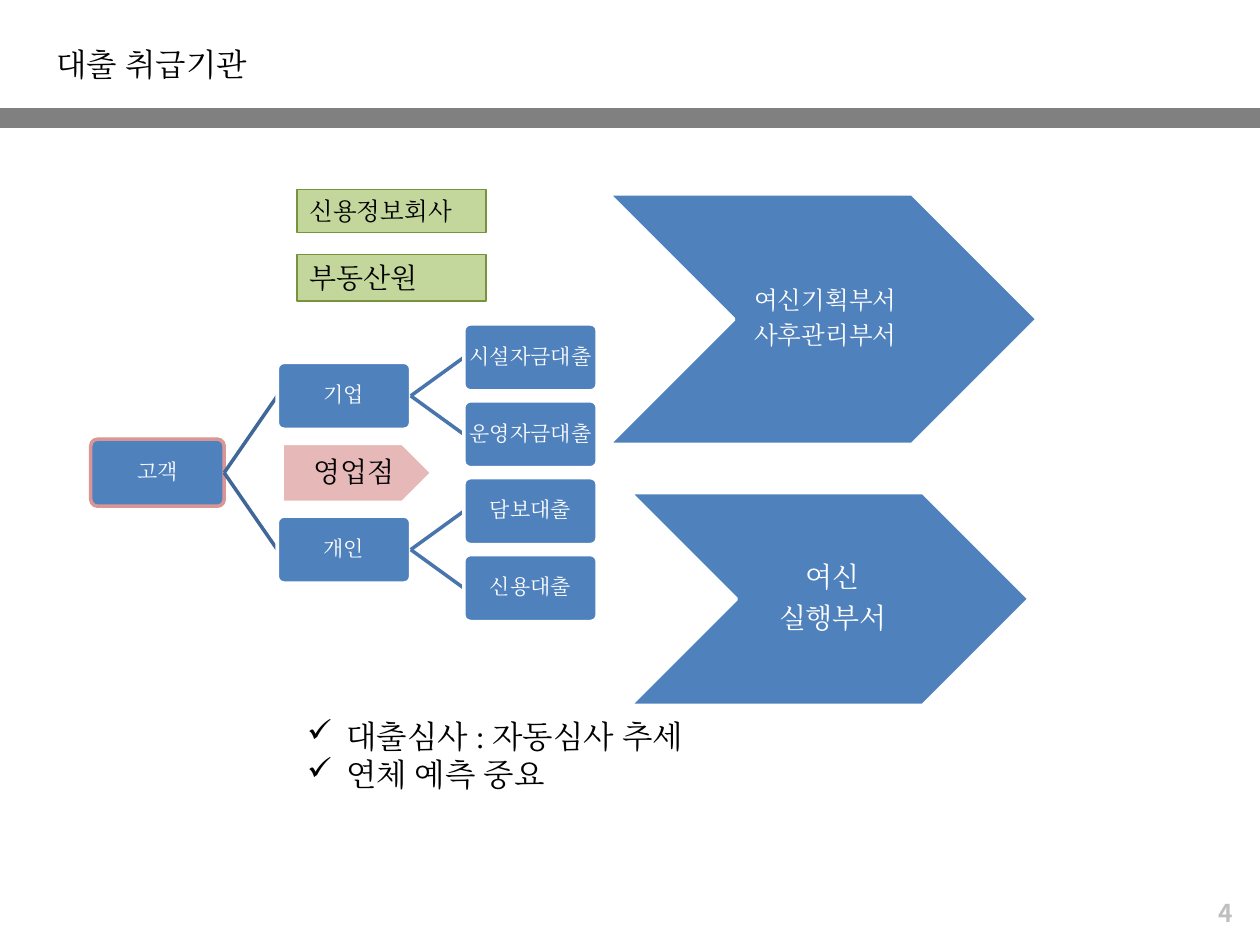
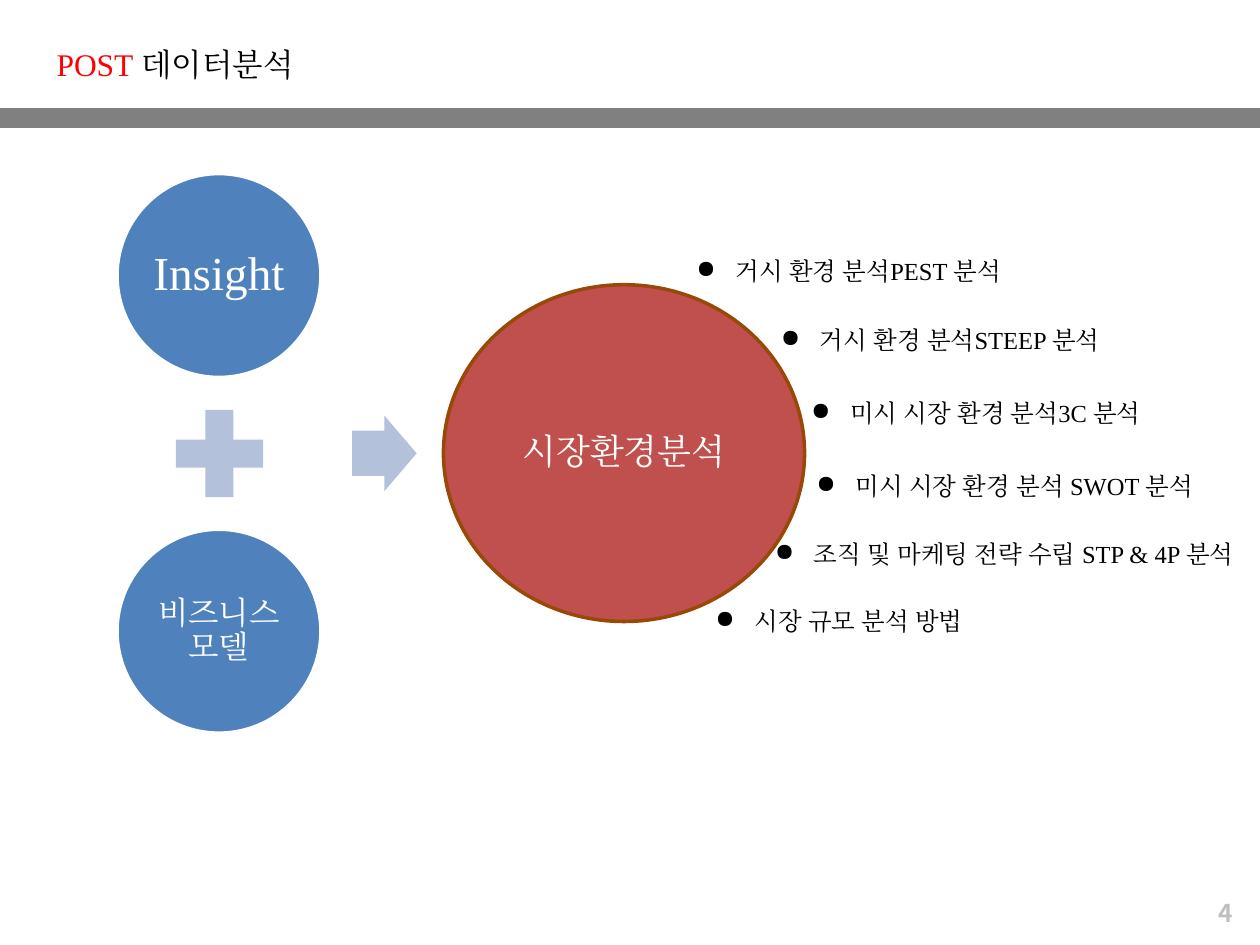
from dataclasses import dataclass
from typing import Optional

from lxml.etree import SubElement
from pptx import Presentation
from pptx.dml.color import RGBColor
from pptx.enum.shapes import MSO_CONNECTOR, MSO_SHAPE
from pptx.enum.text import MSO_ANCHOR, PP_ALIGN
from pptx.oxml.ns import qn
from pptx.util import Cm, Pt


@dataclass(frozen=True)
class Theme:
    latin: str = "Times New Roman"
    number_font: str = "Noto Sans CJK KR"
    black: str = "000000"
    white: str = "FFFFFF"
    band: str = "808080"
    page: str = "BFBFBF"
    highlight: str = "FF0000"
    blue: str = "4F81BD"
    pale_blue: str = "B3C1DB"
    pink: str = "E6B9B8"
    pink_line: str = "D99694"
    green: str = "C3D69B"
    green_line: str = "77933C"
    red: str = "C0504D"
    brown: str = "984807"
    root_link: str = "3F6797"
    leaf_link: str = "4875AC"
    tiny: int = 12
    small: int = 14
    medium: int = 16
    title: int = 18
    large: int = 20
    huge: int = 27


T = Theme()
SLIDE_W, SLIDE_H = 25.4, 19.05
INDENT = 0.79


@dataclass(frozen=True)
class Block:
    """A filled shape with optional text; lengths in centimetres."""
    kind: MSO_SHAPE
    x: float
    y: float
    w: float
    h: float
    fill: str
    line: Optional[str] = T.white
    lines: tuple[str, ...] = ()
    size: int = T.tiny
    color: str = T.white
    weight: float = 2
    adjust: tuple[float, ...] = ()
    margins: tuple[float, float] = (0, 0)
    diagram: bool = True


@dataclass(frozen=True)
class Note:
    """A bulleted text box."""
    x: float
    y: float
    lines: tuple[str, ...]
    size: int = T.small
    bullet: str = "●"


def rgb(value: str) -> RGBColor:
    return RGBColor.from_string(value)


def style(p, size: int, color: str, font: str = T.latin, bold: bool = False) -> None:
    p.font.size = Pt(size)
    p.font.bold = bold
    p.font.name = font
    p.font.color.rgb = rgb(color)
    props = p._p.get_or_add_pPr().find(qn("a:defRPr"))
    SubElement(props, qn("a:ea")).set("typeface", font)


def paragraphs(tf, lines: tuple[str, ...]):
    for i, line in enumerate(lines):
        p = tf.paragraphs[0] if i == 0 else tf.add_paragraph()
        p.text = line
        yield p


def add_block(s, b: Block) -> None:
    sp = s.shapes.add_shape(b.kind, Cm(b.x), Cm(b.y), Cm(b.w), Cm(b.h))
    sp.shadow.inherit = False
    for i, value in enumerate(b.adjust):
        sp.adjustments[i] = value
    sp.fill.solid()
    sp.fill.fore_color.rgb = rgb(b.fill)
    if b.line:
        sp.line.color.rgb = rgb(b.line)
        sp.line.width = Pt(b.weight)
    else:
        sp.line.fill.background()
    tf = sp.text_frame
    tf.vertical_anchor = MSO_ANCHOR.MIDDLE
    if b.diagram:
        tf.margin_left, tf.margin_right = (Cm(m) for m in b.margins)
        tf.margin_top = tf.margin_bottom = 0
    for p in paragraphs(tf, b.lines):
        p.alignment = PP_ALIGN.CENTER if b.diagram else PP_ALIGN.LEFT
        if b.diagram:
            p.line_spacing = 0.9
            p.space_after = Pt(b.size * 0.35)
        style(p, b.size, b.color)


def add_textbox(s, x: float, y: float, w: float, h: float):
    tf = s.shapes.add_textbox(Cm(x), Cm(y), Cm(w), Cm(h)).text_frame
    tf.word_wrap = True
    return tf


def add_note(s, n: Note) -> None:
    tf = add_textbox(s, n.x, n.y, SLIDE_W - n.x, 0.9 * len(n.lines))
    for p in paragraphs(tf, n.lines):
        props = p._p.get_or_add_pPr()
        props.set("marL", str(Cm(INDENT)))
        props.set("indent", str(-Cm(INDENT)))
        SubElement(props, qn("a:buChar")).set("char", n.bullet)
        style(p, n.size, T.black)


def add_link(s, x1: float, y1: float, x2: float, y2: float, color: str) -> None:
    c = s.shapes.add_connector(MSO_CONNECTOR.STRAIGHT, Cm(x1), Cm(y1), Cm(x2), Cm(y2))
    c.line.color.rgb = rgb(color)
    c.line.width = Pt(2)
    SubElement(c._element.spPr, qn("a:effectLst"))


def add_base(prs, *title: tuple[str, str]):
    """Blank slide with band, page number and title made of (text, colour) runs."""
    s = prs.slides.add_slide(prs.slide_layouts[6])
    add_block(s, Block(MSO_SHAPE.RECTANGLE, 0, 2.18, SLIDE_W, 0.4, T.band, None))
    p = add_textbox(s, 21.1, 17.98, 4, 0.86).paragraphs[0]
    p.text = "4"
    p.alignment = PP_ALIGN.RIGHT
    style(p, T.small, T.page, T.number_font, bold=True)
    p = add_textbox(s, 0.89, 0.78, 20, 1.02).paragraphs[0]
    style(p, T.title, T.black)
    for text, color in title:
        r = p.add_run()
        r.text = text
        r.font.color.rgb = rgb(color)
    return s


# Customer tree: branches sit midway between their leaves
TREE_X, TREE_Y, COL_STEP, ROW_STEP = 1.83, 6.53, 3.76, 1.55
NODE_W, NODE_H = 2.69, 1.35
BRANCHES = {
    "기업": ("시설자금대출", "운영자금대출"),
    "개인": ("담보대출", "신용대출"),
}


def add_node(s, column: int, row: float, text: str, line: str = T.white) -> None:
    add_block(s, Block(MSO_SHAPE.ROUNDED_RECTANGLE, TREE_X + column * COL_STEP,
                       TREE_Y + row * ROW_STEP, NODE_W, NODE_H, T.blue, line,
                       (text,), adjust=(0.1,)))


def link_nodes(s, column: int, row: float, child_row: float, color: str) -> None:
    x = TREE_X + column * COL_STEP
    middle = TREE_Y + NODE_H / 2
    add_link(s, x + NODE_W, middle + row * ROW_STEP,
             x + COL_STEP, middle + child_row * ROW_STEP, color)


def add_tree(s) -> None:
    root_row = 1.5
    add_node(s, 0, root_row, "고객", T.pink_line)
    for i, (branch, leaves) in enumerate(BRANCHES.items()):
        row = 2 * i + 0.5
        link_nodes(s, 0, root_row, row, T.root_link)
        add_node(s, 1, row, branch)
        for leaf_row, leaf in enumerate(leaves, start=2 * i):
            link_nodes(s, 1, row, leaf_row, T.leaf_link)
            add_node(s, 2, leaf_row, leaf)


LENDING_BLOCKS = (
    Block(MSO_SHAPE.PENTAGON, 5.69, 8.94, 3.02, 1.19, T.pink, lines=("영업점",),
          size=T.medium, color=T.black, margins=(0.23, 0.05)),
    Block(MSO_SHAPE.CHEVRON, 12.7, 9.93, 8.05, 4.29, T.blue,
          lines=("여신", "실행부서"), size=T.medium, margins=(0.18, 0.05)),
    Block(MSO_SHAPE.CHEVRON, 12.27, 3.91, 8.64, 5.05, T.blue,
          lines=("여신기획부서", "사후관리부서"), size=T.small, margins=(0.15, 0.05)),
    Block(MSO_SHAPE.RECTANGLE, 5.99, 5.13, 3.81, 0.94, T.green, T.green_line,
          ("부동산원",), T.medium, T.black, 0.75, diagram=False),
    Block(MSO_SHAPE.RECTANGLE, 5.99, 3.82, 3.81, 0.87, T.green, T.green_line,
          ("신용정보회사",), T.small, T.black, 0.75, diagram=False),
)

# Market analysis: two inputs, a plus sign, an arrow and the result
CIRCLE = 4.11
ANALYSIS_BLOCKS = (
    Block(MSO_SHAPE.OVAL, 2.36, 3.5, CIRCLE, CIRCLE, T.blue,
          lines=("Insight",), size=T.huge),
    Block(MSO_SHAPE.MATH_PLUS, 3.23, 7.95, 2.39, 2.39, T.pale_blue, None),
    Block(MSO_SHAPE.OVAL, 2.36, 10.67, CIRCLE, CIRCLE, T.blue,
          lines=("비즈니스모델",), size=T.title, margins=(0.08, 0.08)),
    Block(MSO_SHAPE.RIGHT_ARROW, 7.1, 8.38, 1.3, 1.52, T.pale_blue, None,
          adjust=(0.6, 0.5)),
    Block(MSO_SHAPE.OVAL, 8.94, 5.74, 7.28, 6.79, T.red, T.brown,
          ("시장환경분석",), T.large),
)
ANALYSIS_NOTES = (
    Note(13.79, 5.03, ("거시 환경 분석PEST 분석",)),
    Note(15.49, 6.43, ("거시 환경 분석STEEP 분석",)),
    Note(16.1, 7.9, ("미시 시장 환경 분석3C 분석",)),
    Note(16.21, 9.37, ("미시 시장 환경 분석 SWOT 분석",)),
    Note(15.37, 10.74, ("조직 및 마케팅 전략 수립 STP & 4P 분석",)),
    Note(14.17, 12.09, ("시장 규모 분석 방법",)),
)


def main() -> None:
    prs = Presentation()
    prs.slide_width, prs.slide_height = Cm(SLIDE_W), Cm(SLIDE_H)

    # Lending institutions
    s = add_base(prs, ("대출 취급기관", T.black))
    add_tree(s)
    for block in LENDING_BLOCKS:
        add_block(s, block)
    add_note(s, Note(5.94, 14.33, ("대출심사 : 자동심사 추세", "연체 예측 중요"),
                     T.title, "✓"))

    # Post data analysis
    s = add_base(prs, ("POST", T.highlight), (" 데이터분석", T.black))
    for block in ANALYSIS_BLOCKS:
        add_block(s, block)
    for note in ANALYSIS_NOTES:
        add_note(s, note)

    prs.save("out.pptx")


if __name__ == "__main__":
    main()
